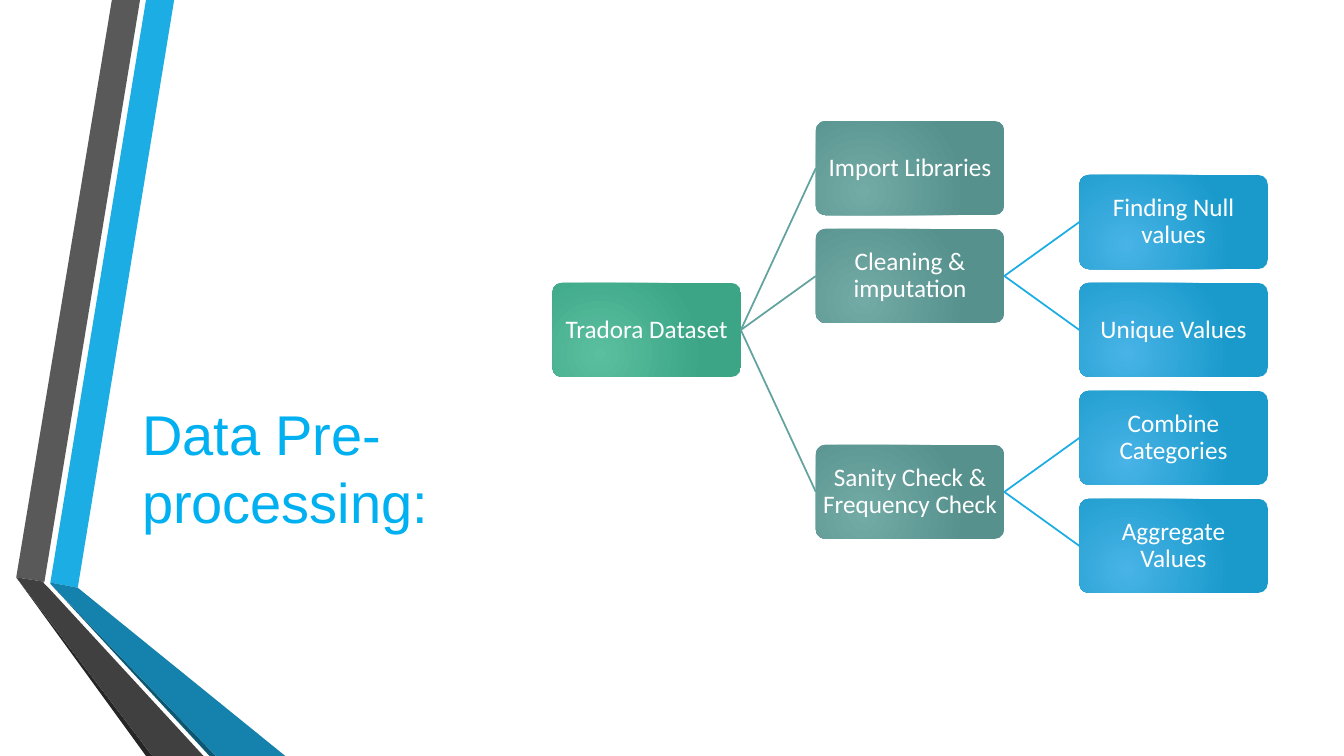
from lxml import etree
from pptx import Presentation
from pptx.dml.color import RGBColor
from pptx.enum.shapes import MSO_CONNECTOR, MSO_SHAPE
from pptx.enum.text import MSO_ANCHOR, PP_ALIGN
from pptx.oxml import parse_xml
from pptx.oxml.ns import qn
from pptx.util import Cm, Pt

STRAIGHT = MSO_CONNECTOR.STRAIGHT
ROUNDED = MSO_SHAPE.ROUNDED_RECTANGLE
CENTER = PP_ALIGN.CENTER
MIDDLE, BOTTOM = MSO_ANCHOR.MIDDLE, MSO_ANCHOR.BOTTOM
LEFT_SIDE, RIGHT_SIDE = 1, 3

COLORS = {
    "title": "00B0F0", "white": "FFFFFF",
    "blue": "1CADE4", "blue_dark": "1482AC", "blue_edge": "0E5772",
    "gray": "595959", "gray_dark": "404040", "gray_edge": "262626",
    "root_light": "5ABF9F", "root_deep": "3BA586",
    "step_light": "72AAA6", "step_deep": "57918D", "step_line": "62A39F",
    "task_light": "48B3E6", "task_deep": "199ACB", "task_line": "1CADE4",
}

# Ribbon outlines in hundredths of a centimetre
RIBBONS = [
    ("blue", [(127, 1468), (196, 1481), (439, 0), (368, 0)]),
    ("gray", [(353, 0), (282, 0), (41, 1455), (112, 1466)]),
    ("gray_edge", [(41, 1455), (368, 1905), (384, 1905)]),
    ("blue_edge", [(127, 1471), (528, 1905), (544, 1905)]),
    ("blue_dark", [(127, 1468), (127, 1471), (544, 1905), (719, 1905), (196, 1481)]),
    ("gray_dark", [(513, 1905), (122, 1481), (109, 1468), (112, 1466),
                   (41, 1455), (384, 1905)]),
]

# Text, level, vertical place in half rows, parent
NODES = [
    ("Tradora Dataset", "root", 3, None),
    ("Import Libraries", "step", 0, "Tradora Dataset"),
    ("Cleaning & imputation", "step", 2, "Tradora Dataset"),
    ("Finding Null values", "task", 1, "Cleaning & imputation"),
    ("Unique Values", "task", 3, "Cleaning & imputation"),
    ("Sanity Check & Frequency Check", "step", 6, "Tradora Dataset"),
    ("Combine Categories", "task", 5, "Sanity Check & Frequency Check"),
    ("Aggregate Values", "task", 7, "Sanity Check & Frequency Check"),
]
LEVELS = ["root", "step", "task"]
TREE_LEFT, TREE_TOP = 13.92, 3.05
COLUMN_STEP, HALF_ROW = 6.64, 1.36
BOX_WIDTH, BOX_HEIGHT = 4.75, 2.37

GLOW = (
    '<a:path xmlns:a="http://schemas.openxmlformats.org/drawingml/2006/main" path="circle">'
    '<a:fillToRect l="50000" t="100000" r="100000" b="50000"/></a:path>'
)


def color(name):
    return RGBColor.from_string(COLORS[name])


def style_text(paragraph, font_name, size, color_name):
    for run in paragraph.runs:
        run.font.name = font_name
        run.font.size = Pt(size)
        run.font.color.rgb = color(color_name)


presentation = Presentation()
presentation.slide_width = Cm(33.87)
presentation.slide_height = Cm(19.05)
slide = presentation.slides.add_slide(presentation.slide_layouts[6])
shapes = slide.shapes

# Folded ribbons on the left
for color_name, points in RIBBONS:
    builder = shapes.build_freeform(*points[0], scale=Cm(0.01))
    builder.add_line_segments(points[1:], close=True)
    ribbon = builder.convert_to_shape()
    ribbon.shadow.inherit = False
    ribbon.fill.solid()
    ribbon.fill.fore_color.rgb = color(color_name)
    ribbon.line.fill.background()

# Title
title = shapes.add_textbox(Cm(3.33), Cm(4.39), Cm(11.33), Cm(9.2))
title_frame = title.text_frame
title_frame.word_wrap = True
title_frame.vertical_anchor = BOTTOM
title_frame.text = "Data Pre-processing:"
title_frame.paragraphs[0].space_after = Pt(6)
style_text(title_frame.paragraphs[0], "Arial", 40, "title")

# Tree of steps
boxes = {}
for text, level, half_rows, parent in NODES:
    left = TREE_LEFT + LEVELS.index(level) * COLUMN_STEP
    top = TREE_TOP + half_rows * HALF_ROW
    box = shapes.add_shape(ROUNDED, Cm(left), Cm(top), Cm(BOX_WIDTH), Cm(BOX_HEIGHT))
    boxes[text] = box
    box.adjustments[0] = 0.1
    box.shadow.inherit = False
    box.line.fill.background()

    box.fill.gradient()
    for stop, shade in zip(box.fill.gradient_stops, ("light", "deep")):
        stop.color.rgb = color(f"{level}_{shade}")
    linear = box.element.spPr.find(qn("a:gradFill")).find(qn("a:lin"))
    linear.getparent().replace(linear, parse_xml(GLOW))

    frame = box.text_frame
    frame.word_wrap = True
    frame.vertical_anchor = MIDDLE
    frame.margin_left = frame.margin_right = Cm(0.1)
    frame.margin_top = frame.margin_bottom = Cm(0.1)
    frame.text = text
    paragraph = frame.paragraphs[0]
    paragraph.alignment = CENTER
    paragraph.line_spacing = 0.9
    style_text(paragraph, "Calibri", 18, "white")

    if parent:
        branch = shapes.add_connector(STRAIGHT, 0, 0, 0, 0)
        branch.begin_connect(boxes[parent], RIGHT_SIDE)
        branch.end_connect(box, LEFT_SIDE)
        branch.line.color.rgb = color(f"{level}_line")
        branch.line.width = Pt(1.25)
        etree.SubElement(branch.element.spPr, qn("a:effectLst"))

presentation.save("out.pptx")
